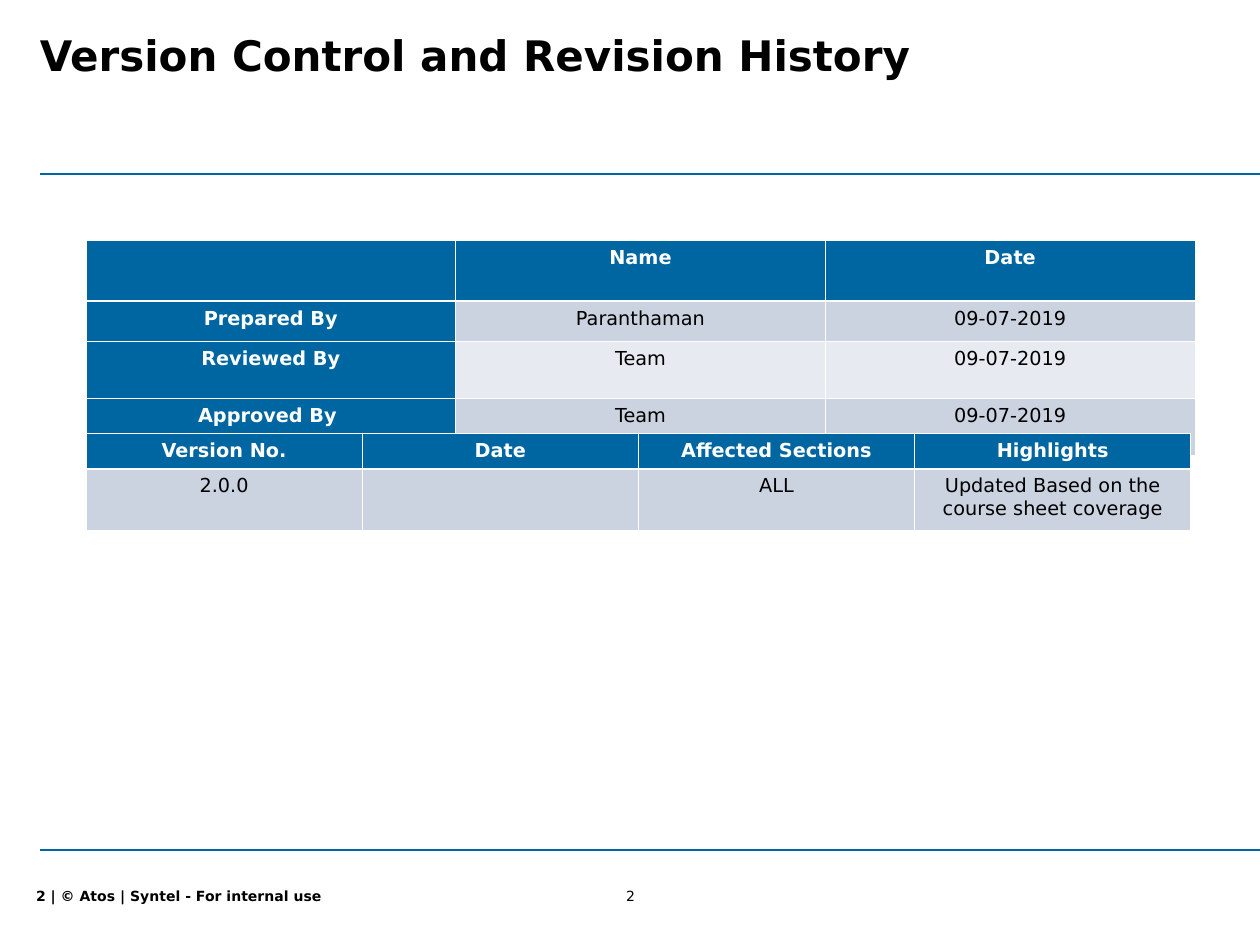
from lxml import etree
from pptx import Presentation
from pptx.dml.color import RGBColor
from pptx.enum.shapes import MSO_CONNECTOR
from pptx.enum.text import MSO_ANCHOR, MSO_AUTO_SIZE, PP_ALIGN
from pptx.oxml import parse_xml
from pptx.oxml.ns import nsdecls, qn
from pptx.util import Pt

LEFT, CENTER = PP_ALIGN.LEFT, PP_ALIGN.CENTER
TOP, MIDDLE = MSO_ANCHOR.TOP, MSO_ANCHOR.MIDDLE
NO_FIT, GROW = MSO_AUTO_SIZE.NONE, MSO_AUTO_SIZE.SHAPE_TO_FIT_TEXT
STRAIGHT = MSO_CONNECTOR.STRAIGHT
EMU_PER_INCH, PX_PER_INCH = 914400, 126


def px(n):
    return n * EMU_PER_INCH // PX_PER_INCH


def rgb(color):
    return RGBColor.from_string(color)


class Deck:
    FONT = "DejaVu Sans"
    BLUE, WHITE, BLACK = "0066A1", "FFFFFF", "000000"
    BANDS = ("CBD3E0", "E7EAF0")
    THIN, THICK = 0.45, 1.47

    def __init__(self, width, height):
        self.prs = Presentation()
        self.prs.slide_width, self.prs.slide_height = px(width), px(height)
        self.slide = self.prs.slides.add_slide(self.prs.slide_layouts[5])

    def set_text(self, tf, text, size, color, bold, align):
        tf.text = text
        p = tf.paragraphs[0]
        p.alignment = align
        p.font.name, p.font.size, p.font.bold = self.FONT, Pt(size), bold
        p.font.color.rgb = rgb(color)

    def title(self, text, x, y, w, h):
        s = self.slide.shapes.title
        s.left, s.top, s.width, s.height = px(x), px(y), px(w), px(h)
        tf = s.text_frame
        tf.margin_left = tf.margin_right = 0
        tf.vertical_anchor, tf.auto_size = TOP, NO_FIT
        self.set_text(tf, text, 24, self.BLACK, True, LEFT)

    def text(self, text, x, y, w, h, bold=False, align=LEFT):
        s = self.slide.shapes.add_textbox(px(x), px(y), px(w), px(h))
        tf = s.text_frame
        tf.margin_left = tf.margin_right = tf.margin_top = tf.margin_bottom = 0
        tf.vertical_anchor, tf.auto_size, tf.word_wrap = MIDDLE, GROW, False
        self.set_text(tf, text, 8, self.BLACK, bold, align)

    def rule(self, x1, x2, y):
        s = self.slide.shapes.add_connector(STRAIGHT, px(x1), px(y), px(x2), px(y))
        s.line.color.rgb, s.line.width = rgb(self.BLUE), Pt(1.25)
        etree.SubElement(s._element.spPr, qn("a:effectLst"))

    def borders(self, cell, top, bottom):
        """Draw white cell borders, with the given top and bottom widths in points."""
        widths = {"L": self.THIN, "R": self.THIN, "T": top, "B": bottom}
        tc_pr = cell._tc.get_or_add_tcPr()
        for i, (side, width) in enumerate(widths.items()):
            tc_pr.insert(i, parse_xml(
                f'<a:ln{side} {nsdecls("a")} w="{Pt(width)}"><a:solidFill>'
                f'<a:srgbClr val="{self.WHITE}"/></a:solidFill></a:ln{side}>'))

    def table(self, rows, x, y, w, heights, header_column=False):
        """Add a table with equal columns, a blue header row and banded rows."""
        table = self.slide.shapes.add_table(
            len(rows), len(rows[0]), px(x), px(y), px(w), px(sum(heights))).table
        for r, (values, height) in enumerate(zip(rows, heights)):
            table.rows[r].height = px(height)
            for c, value in enumerate(values):
                cell = table.cell(r, c)
                header = r == 0 or (header_column and c == 0)
                cell.margin_left = cell.margin_right = px(9)
                cell.fill.solid()
                cell.fill.fore_color.rgb = rgb(self.BLUE if header else self.BANDS[(r - 1) % 2])
                self.borders(cell, self.THICK if r == 1 else self.THIN,
                             self.THICK if r == 0 else self.THIN)
                self.set_text(cell.text_frame, value, 11,
                              self.WHITE if header else self.BLACK, header, CENTER)


def main():
    deck = Deck(1260, 945)
    deck.text("2", 596, 886, 69, 19, align=CENTER)
    deck.text("2 | © Atos | Syntel - For internal use", 36, 886, 320, 19, bold=True)
    for y in (174, 850):
        deck.rule(40, 1261, y)
    deck.title("Version Control and Revision History", 40, 23, 1196, 132)
    deck.table([
        ("", "Name", "Date"),
        ("Prepared By", "Paranthaman", "09-07-2019"),
        ("Reviewed By", "Team", "09-07-2019"),
        ("Approved By ", "Team", "09-07-2019"),
    ], 86, 240, 1109, (61, 40, 57, 57), header_column=True)
    deck.table([
        ("Version No.", "Date", "Affected Sections", "Highlights"),
        ("2.0.0", "", "ALL", "Updated Based on the course sheet coverage"),
    ], 86, 433, 1105, (35, 62))
    deck.prs.save("out.pptx")


if __name__ == "__main__":
    main()
